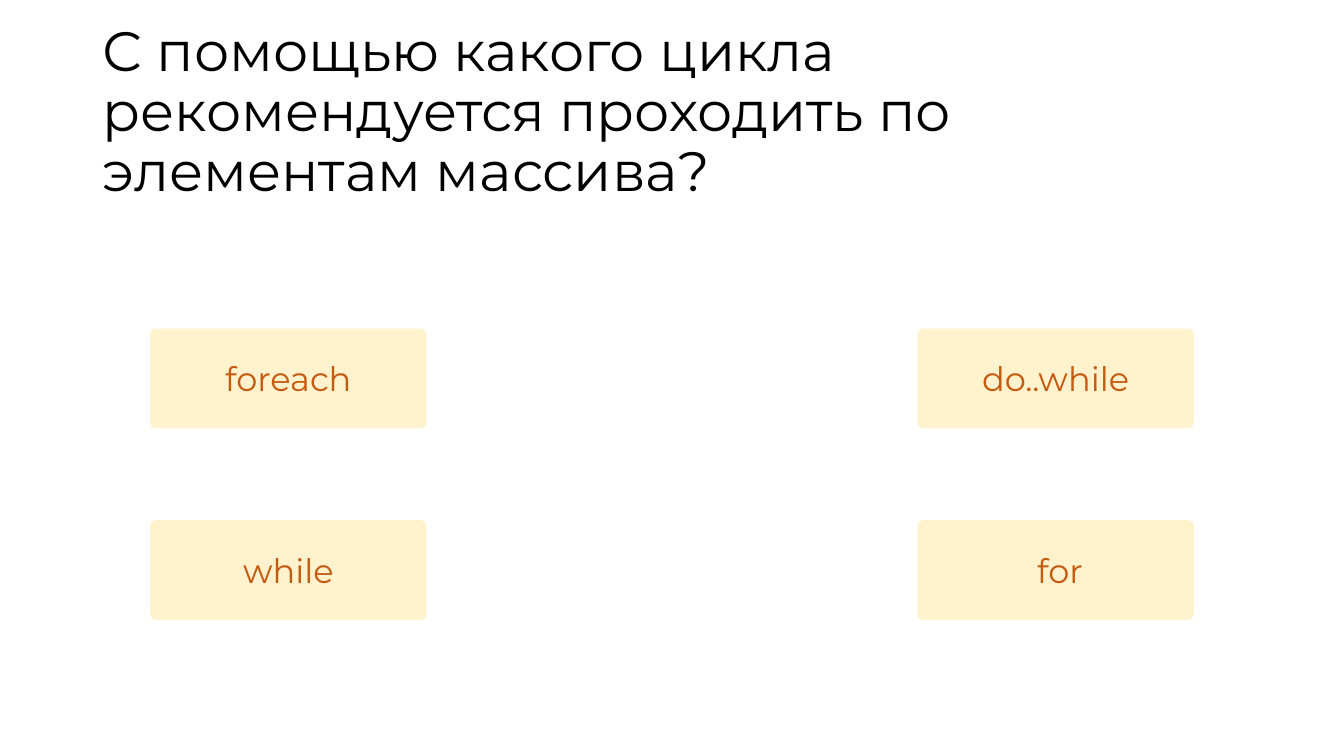
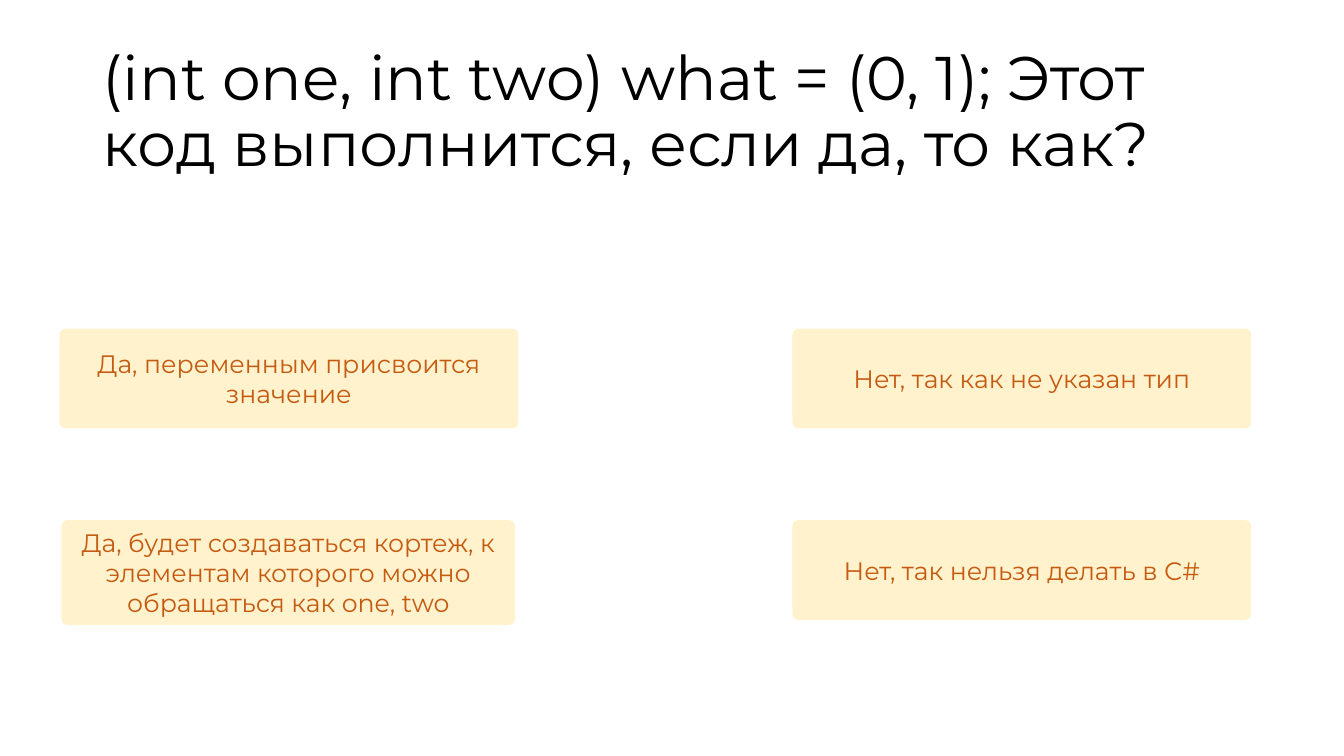
from pptx import Presentation
from pptx.dml.color import RGBColor
from pptx.enum.shapes import MSO_SHAPE
from pptx.enum.text import MSO_ANCHOR, PP_ALIGN
from pptx.util import Inches, Pt

ROUNDED = MSO_SHAPE.ROUNDED_RECTANGLE
MIDDLE = MSO_ANCHOR.MIDDLE
LEFT, CENTER = PP_ALIGN.LEFT, PP_ALIGN.CENTER

BLACK = RGBColor(0x00, 0x00, 0x00)
CREAM = RGBColor(0xFF, 0xF2, 0xCC)
ORANGE = RGBColor(0xC5, 0x5A, 0x11)
FONT = "Montserrat"

ROW_TOPS = (3.26, 5.16)
ANSWER_HEIGHT = 0.99


class Quiz:
    """Holds the quiz style and the current slide."""

    def __init__(self):
        self.prs = Presentation()
        self.prs.slide_width = Inches(13.33)
        self.prs.slide_height = Inches(7.5)
        self.s = None

    def new_slide(self):
        self.s = self.prs.slides.add_slide(self.prs.slide_layouts[6])

    def set_text(self, sp, text, size, color, align):
        tf = sp.text_frame
        tf.word_wrap = True
        tf.vertical_anchor = MIDDLE
        tf.text = text
        p = tf.paragraphs[0]
        p.alignment = align
        font = p.runs[0].font
        font.name, font.size, font.color.rgb = FONT, Pt(size), color
        return p

    def title(self, text, size):
        sp = self.s.shapes.add_textbox(
            Inches(0.92), Inches(0.4), Inches(11.5), Inches(1.45))
        p = self.set_text(sp, text, size, BLACK, LEFT)
        p.line_spacing = 0.9

    def answer(self, text, x, y, w, h, size):
        sp = self.s.shapes.add_shape(
            ROUNDED, Inches(x), Inches(y), Inches(w), Inches(h))
        sp.adjustments[0] = 0.06
        sp.shadow.inherit = False
        sp.fill.solid()
        sp.fill.fore_color.rgb = CREAM
        sp.line.fill.background()
        self.set_text(sp, text, size, ORANGE, CENTER)


quiz = Quiz()

# Slide 1: loops, four equal answers in a grid
quiz.new_slide()
quiz.title("С помощью какого цикла рекомендуется проходить по "
           "элементам массива?", 39.6)
loops = (("foreach", "do..while"), ("while", " for"))
for y, row in zip(ROW_TOPS, loops):
    for x, text in zip((1.49, 9.1), row):
        quiz.answer(text, x, y, 2.74, ANSWER_HEIGHT, 24)

# Slide 2: tuples, the longest answer has a slightly different box
quiz.new_slide()
quiz.title("(int one, int two) what = (0, 1); Этот код выполнится, "
           "если да, то как?", 44)
top, bottom = ROW_TOPS
tuples = (
    ("Да, переменным присвоится значение", 0.59, top, 4.55, ANSWER_HEIGHT),
    ("Нет, так как не указан тип", 7.86, top, 4.55, ANSWER_HEIGHT),
    ("Да, будет создаваться кортеж, к элементам которого можно "
     "обращаться как one, two", 0.61, bottom, 4.5, 1.04),
    ("Нет, так нельзя делать в С#", 7.86, bottom, 4.55, ANSWER_HEIGHT),
)
for text, x, y, w, h in tuples:
    quiz.answer(text, x, y, w, h, 18)

quiz.prs.save("out.pptx")
